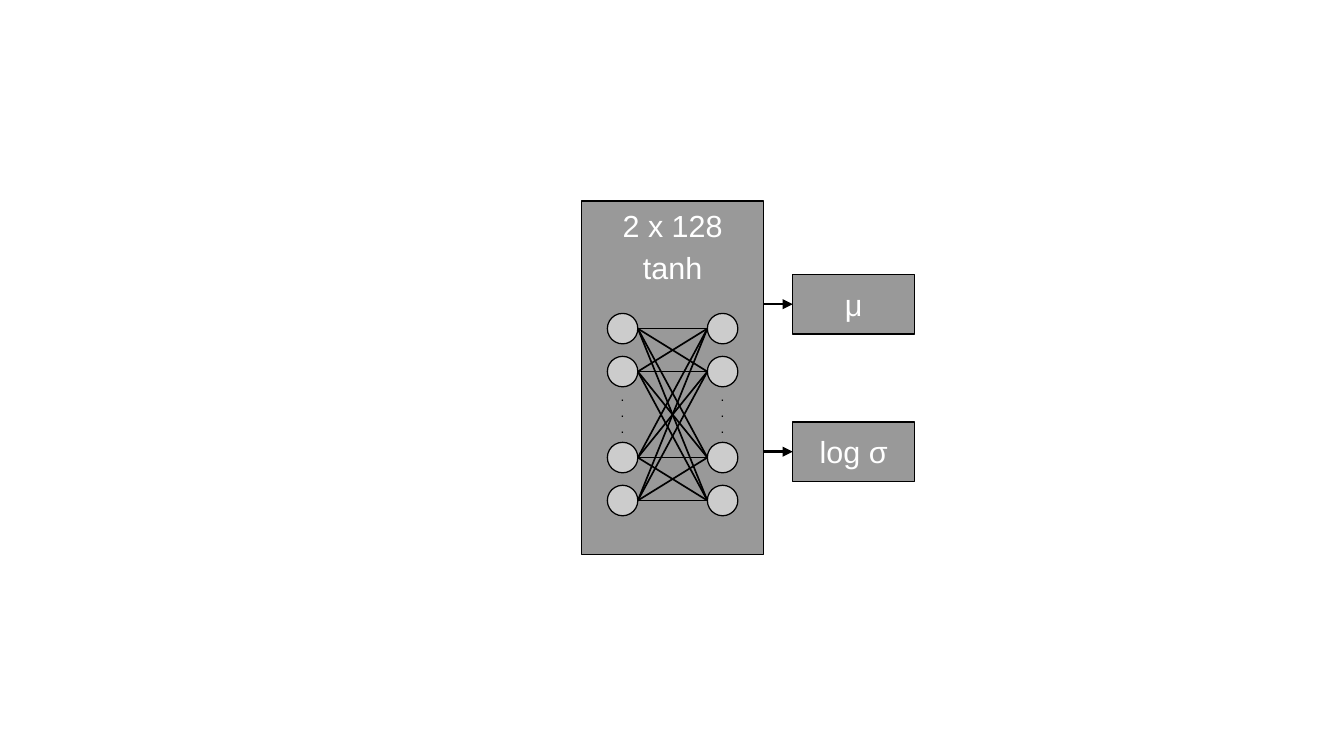
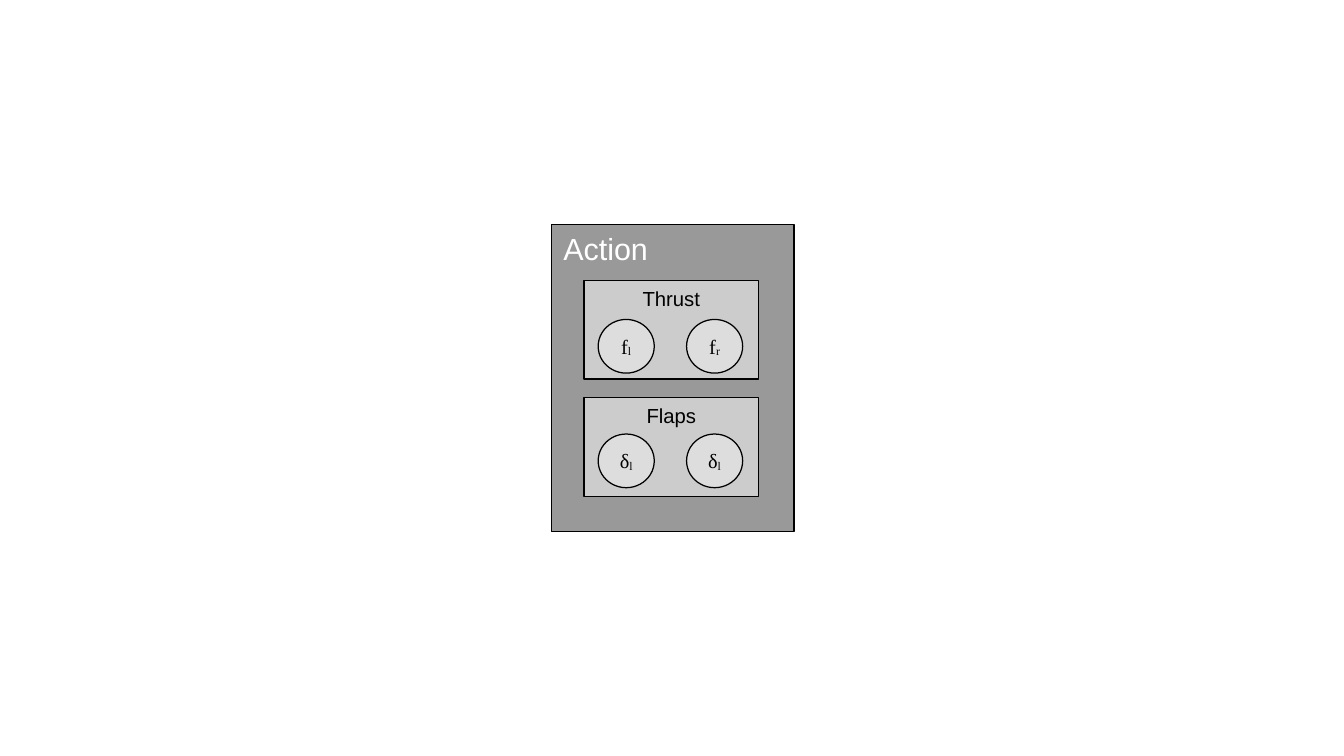
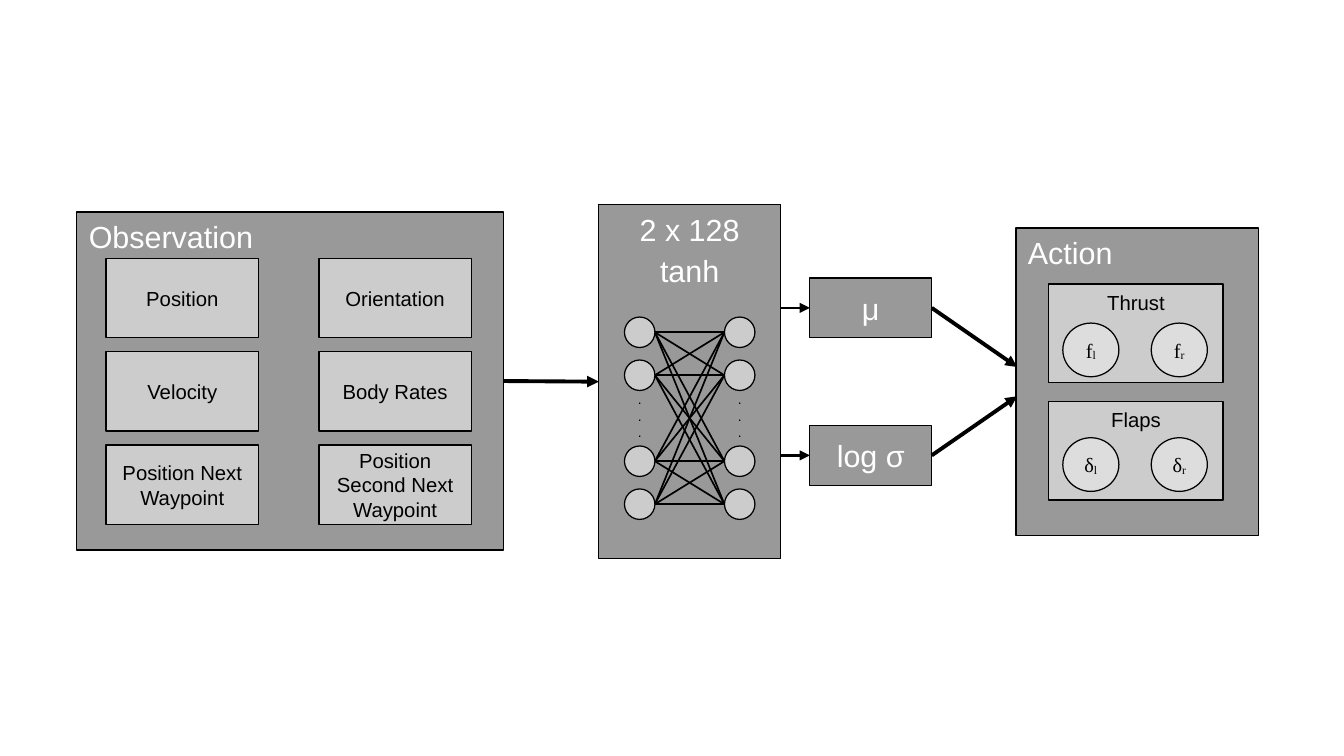
"""Build three slides showing a policy network from observation to action."""
from dataclasses import dataclass
from itertools import product
from typing import NamedTuple, Optional

from pptx import Presentation
from pptx import util as u
from pptx.dml.color import RGBColor
from pptx.enum import shapes, text
from pptx.oxml import ns, xmlchemy
from pptx.shapes.autoshape import Shape
from pptx.shapes.connector import Connector
from pptx.shapes.shapetree import GroupShapes
from pptx.slide import Slide

GRID = u.Inches(0.1)
SLIDE_COLUMNS, SLIDE_ROWS = 110.2, 62
BLANK_LAYOUT = 6

BLACK = RGBColor(0x00, 0x00, 0x00)
WHITE = RGBColor(0xFF, 0xFF, 0xFF)
PANEL_GREY = RGBColor(0x99, 0x99, 0x99)
BOX_GREY = RGBColor(0xCC, 0xCC, 0xCC)
DIAL_GREY = RGBColor(0xDD, 0xDD, 0xDD)

RECTANGLE = shapes.MSO_SHAPE.RECTANGLE
OVAL = shapes.MSO_SHAPE.OVAL
LEFT, CENTER = text.PP_ALIGN.LEFT, text.PP_ALIGN.CENTER
TOP, MIDDLE = text.MSO_ANCHOR.TOP, text.MSO_ANCHOR.MIDDLE
LEFT_SIDE, RIGHT_SIDE = 1, 3


@dataclass(frozen=True)
class Frame:
    """A place and size in grid columns and rows."""
    column: float
    row: float
    columns: float
    rows: float

    def inside(self, column: float, row: float, columns: float, rows: float) -> "Frame":
        """Return a frame placed relative to this one."""
        return Frame(self.column + column, self.row + row, columns, rows)

    def lengths(self) -> list[int]:
        """Return left, top, width and height as slide lengths."""
        return [grid(n) for n in (self.column, self.row, self.columns, self.rows)]


@dataclass(frozen=True)
class Style:
    """The look of a shape and its text."""
    fill: RGBColor
    color: RGBColor = BLACK
    size: float = 12
    font: str = "Arial"
    shape: shapes.MSO_SHAPE = RECTANGLE
    line: float = 0.79
    align: text.PP_ALIGN = CENTER
    anchor: text.MSO_ANCHOR = MIDDLE
    before: float = 2.9
    margins: tuple[float, float] = (1, 0.5)


class Control(NamedTuple):
    """A box of two dials in the action panel."""
    title: str
    row: float
    dial_row: float
    symbol: str


class Network(NamedTuple):
    """The shapes of a network that arrows join."""
    panel: Shape
    heads: list[Shape]


PANEL = Style(PANEL_GREY, WHITE, 18, align=LEFT, anchor=TOP, before=0)
NETWORK = Style(PANEL_GREY, WHITE, 18, anchor=TOP)
HEAD = Style(PANEL_GREY, WHITE, 18)
INPUT = Style(BOX_GREY)
CONTROL = Style(BOX_GREY, anchor=TOP)
NEURON = Style(BOX_GREY, shape=OVAL, line=0)
DIAL = Style(DIAL_GREY, font="Times New Roman", shape=OVAL, line=0, before=0, margins=(0, 0))

INPUTS = (("Position", "Orientation"),
          ("Velocity", "Body Rates"),
          ("Position Next Waypoint", "Position Second Next Waypoint"))
HEADS = (("μ", 6), ("log σ", 18.1))
CONTROLS = (Control("Thrust", 4.6, 3.2, "f"), Control("Flaps", 14.2, 3, "δ"))
NEURON_SIZE = 2.5
NEURON_COLUMNS = (2.1, 10.3)
NEURON_ROWS = [9.2 + 14.1 * step / 4 for step in (0, 1, 3, 4)]


def grid(count: float) -> int:
    """Turn grid steps into a slide length."""
    return round(count * GRID)


def format_text(box: Shape, lines: tuple[str, ...], style: Style) -> None:
    """Write one paragraph a line in the given style."""
    frame = box.text_frame
    frame.word_wrap = True
    frame.vertical_anchor = style.anchor
    frame.margin_left = frame.margin_right = grid(style.margins[0])
    frame.margin_top = frame.margin_bottom = grid(style.margins[1])
    frame.text = "\n".join(lines)
    for para in frame.paragraphs:
        para.alignment = style.align
        para.space_before = u.Pt(style.before)
        para.font.name = style.font
        para.font.size = u.Pt(style.size)
        para.font.color.rgb = style.color


def add_box(group: GroupShapes, frame: Frame, style: Style, *lines: str) -> Shape:
    """Draw a filled shape, with text if there is any."""
    box = group.add_shape(style.shape, *frame.lengths())
    box.shadow.inherit = False
    box.fill.solid()
    box.fill.fore_color.rgb = style.fill
    box.line.color.rgb = BLACK
    box.line.width = u.Pt(style.line)
    if lines:
        format_text(box, lines, style)
    return box


def add_line(group: GroupShapes, start: tuple[float, float], end: tuple[float, float],
             width: float, arrow: bool = False) -> Connector:
    """Draw a straight line, with an arrowhead at its end if asked."""
    ends = [grid(n) for n in (*start, *end)]
    line = group.add_connector(shapes.MSO_CONNECTOR.STRAIGHT, *ends)
    line.line.color.rgb = BLACK
    line.line.width = u.Pt(width)
    properties = line._element.spPr
    if arrow:
        head = xmlchemy.OxmlElement("a:tailEnd")
        head.set("type", "triangle")
        properties.find(ns.qn("a:ln")).append(head)
    properties.append(xmlchemy.OxmlElement("a:effectLst"))
    return line


def add_arrow(group: GroupShapes, start: tuple[float, float], end: tuple[float, float],
              width: float, source: Optional[Shape] = None,
              target: Optional[Shape] = None) -> None:
    """Draw an arrow joined to the right of source and the left of target."""
    arrow = add_line(group, start, end, width, arrow=True)
    if source is not None:
        arrow.begin_connect(source, RIGHT_SIDE)
    if target is not None:
        arrow.end_connect(target, LEFT_SIDE)


def add_observation(page: Slide, column: float, row: float) -> Shape:
    """Draw the observation panel with its grid of inputs."""
    group = page.shapes.add_group_shape().shapes
    place = Frame(column, row, 35, 27.7)
    panel = add_box(group, place, PANEL, "Observation")
    for i, names in enumerate(INPUTS):
        for j, name in enumerate(names):
            add_box(group, place.inside(2.4 + 17.45 * j, 3.8 + 7.65 * i, 12.5, 6.5), INPUT, name)
    return panel


def add_network(page: Slide, column: float, row: float) -> Network:
    """Draw the two-layer network and its output heads."""
    group = page.shapes.add_group_shape().shapes
    place = Frame(column, row, 14.9, 29)
    panel = add_box(group, place, NETWORK, "2 x 128", "tanh")
    radius = NEURON_SIZE / 2
    link_start = column + NEURON_COLUMNS[0] + NEURON_SIZE
    link_end = column + NEURON_COLUMNS[1]
    for first, second in product(NEURON_ROWS, repeat=2):
        add_line(group, (link_start, row + first + radius), (link_end, row + second + radius), 1)
    for left in NEURON_COLUMNS:
        for top in NEURON_ROWS:
            add_box(group, place.inside(left, top, NEURON_SIZE, NEURON_SIZE), NEURON)
        dots = group.add_textbox(*place.inside(left, 14.8, NEURON_SIZE, 4.7).lengths())
        format_text(dots, (".",) * 3,
                    Style(BOX_GREY, size=8, anchor=TOP, before=0, margins=(0, 0.5)))
    heads = []
    for name, top in HEADS:
        spot = place.inside(17.3, top, 10, 4.9)
        head = add_box(group, spot, HEAD, name)
        middle = spot.row + spot.rows / 2
        add_arrow(group, (column + place.columns, middle), (spot.column, middle), 1.5,
                  target=head)
        heads.append(head)
    return Network(panel, heads)


def add_action(page: Slide, column: float, row: float, sides: tuple[str, str]) -> None:
    """Draw the action panel; sides holds the subscripts of each control."""
    group = page.shapes.add_group_shape().shapes
    place = Frame(column, row, 19.9, 25.2)
    add_box(group, place, PANEL, "Action")
    for control, subscripts in zip(CONTROLS, sides):
        spot = place.inside(2.7, control.row, 14.3, 8.1)
        add_box(group, spot, CONTROL, control.title)
        for i, subscript in enumerate(subscripts):
            dial = add_box(group, spot.inside(1.15 + 7.25 * i, control.dial_row, 4.6, 4.4),
                           DIAL, control.symbol)
            span = dial.text_frame.paragraphs[0].add_run()
            span.text = subscript
            span._r.get_or_add_rPr().set("baseline", "-8000")


def main() -> None:
    """Build and save the deck."""
    deck = Presentation()
    deck.slide_width, deck.slide_height = grid(SLIDE_COLUMNS), grid(SLIDE_ROWS)
    network_page, action_page, overview_page = (
        deck.slides.add_slide(deck.slide_layouts[BLANK_LAYOUT]) for _ in range(3))

    add_network(network_page, 47.7, 16.5)
    add_action(action_page, 45.2, 18.4, ("lr", "ll"))

    observation = add_observation(overview_page, 6.3, 17.4)
    network = add_network(overview_page, 49.1, 16.8)
    add_action(overview_page, 83.3, 18.7, ("lr", "lr"))
    add_arrow(overview_page.shapes, (41.3, 31.3), (49.1, 31.3), 2.3, observation, network.panel)
    for head, start, end in zip(network.heads, (25.1, 37.5), (30.1, 32.5)):
        add_arrow(overview_page.shapes, (76.4, start), (83.4, end), 2.3, source=head)
    deck.save("out.pptx")


if __name__ == "__main__":
    main()
